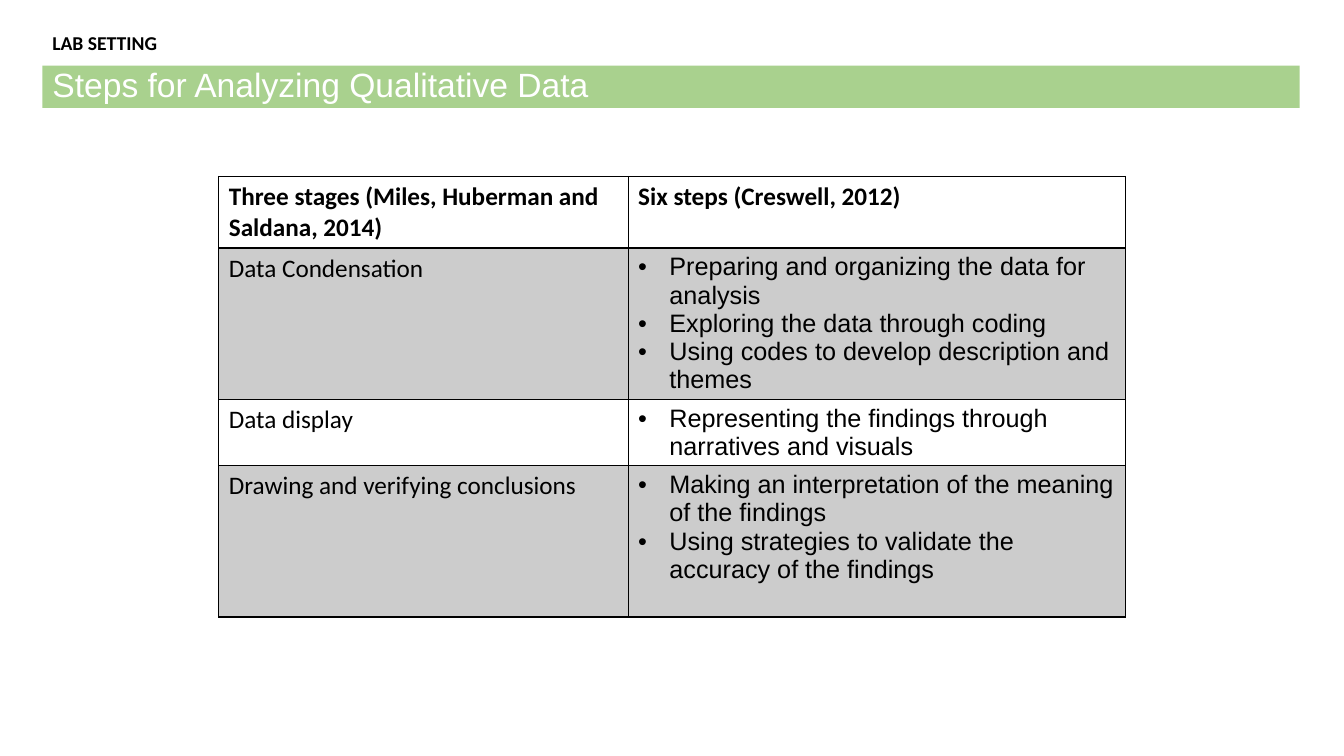
import pptx
import pptx.dml.color
import pptx.enum.text
import pptx.oxml
import pptx.oxml.ns
import pptx.util
from pptx.util import Inches

BLACK, WHITE, GREEN, GREY = "000000", "FFFFFF", "A9D18E", "CCCCCC"
HEADERS = ["Three stages (Miles, Huberman and Saldana, 2014)", "Six steps (Creswell, 2012)"]
STAGES = [
    ("Data Condensation", [
        "Preparing and organizing the data for analysis",
        "Exploring the data through coding",
        "Using codes to develop description and themes"]),
    ("Data display", [
        "Representing the findings through narratives and visuals"]),
    ("Drawing and verifying conclusions", [
        "Making an interpretation of the meaning of the findings",
        "Using strategies to validate the accuracy of the findings"]),
]
COLUMN_WIDTHS = [4.06, 4.93]
ROW_HEIGHTS = [0.71, 1.5, 0.65, 1.5]


def rgb(value):
    return pptx.dml.color.RGBColor.from_string(value)


def set_attributes(target, values):
    for name, value in values.items():
        setattr(target, name, value)


def write(p, text, size, font, color=BLACK, bold=False):
    r = p.add_run()
    r.text = text
    set_attributes(r.font, {"size": pptx.util.Pt(size), "name": font, "bold": bold})
    r.font.color.rgb = rgb(color)


def add_bullet(p):
    pPr = p._p.get_or_add_pPr()
    pPr.set("marL", str(Inches(0.31)))
    pPr.set("indent", str(-Inches(0.31)))
    ns = pptx.oxml.ns.nsdecls("a")
    pPr.append(pptx.oxml.parse_xml(f'<a:buFont {ns} typeface="Arial"/>'))
    pPr.append(pptx.oxml.parse_xml(f'<a:buChar {ns} char="•"/>'))


def style_cell(cell, fill, bottom=1):
    """Draw the cell's borders, then its fill (None for no fill)."""
    tcPr = cell._tc.get_or_add_tcPr()
    for side, width in (("L", 1), ("R", 1), ("T", 1), ("B", bottom)):
        tcPr.append(pptx.oxml.parse_xml(
            f'<a:ln{side} {pptx.oxml.ns.nsdecls("a")} w="{pptx.util.Pt(width)}">'
            f'<a:solidFill><a:srgbClr val="{BLACK}"/></a:solidFill></a:ln{side}>'))
    if fill:
        cell.fill.solid()
        cell.fill.fore_color.rgb = rgb(fill)
    else:
        cell.fill.background()


def place_heading(sp, box, text, size, font, color, bold=False):
    set_attributes(sp, dict(zip(("left", "top", "width", "height"), map(Inches, box))))
    tf = sp.text_frame
    set_attributes(tf, {"word_wrap": True,
                        "auto_size": pptx.enum.text.MSO_AUTO_SIZE.NONE,
                        "vertical_anchor": pptx.enum.text.MSO_ANCHOR.MIDDLE})
    p = tf.paragraphs[0]
    set_attributes(p, {"alignment": pptx.enum.text.PP_ALIGN.LEFT,
                       "line_spacing": 0.9, "space_before": pptx.util.Pt(10)})
    write(p, text, size, font, color, bold)


def add_title_bar(s, box):
    sp = s.shapes.title
    sp.fill.solid()
    sp.fill.fore_color.rgb = rgb(GREEN)
    place_heading(sp, box, "Steps for Analyzing Qualitative Data", 24, "Arial", WHITE)


def add_section_label(s, box):
    sp = s.shapes.add_textbox(*map(Inches, box))
    place_heading(sp, box, "LAB SETTING", 14, "Calibri", BLACK, True)


def add_steps_table(s, left, top):
    size = (sum(COLUMN_WIDTHS), sum(ROW_HEIGHTS))
    table = s.shapes.add_table(len(ROW_HEIGHTS), len(COLUMN_WIDTHS),
                               *map(Inches, (left, top, *size))).table
    set_attributes(table, {"first_row": False, "horz_banding": False})
    for column, width in zip(table.columns, COLUMN_WIDTHS):
        column.width = Inches(width)
    for row, height in zip(table.rows, ROW_HEIGHTS):
        row.height = Inches(height)

    for col, header in enumerate(HEADERS):
        cell = table.cell(0, col)
        style_cell(cell, None, bottom=2)
        write(cell.text_frame.paragraphs[0], header, 18, "Calibri", bold=True)

    for row, (stage, steps) in enumerate(STAGES, start=1):
        stage_cell, steps_cell = table.cell(row, 0), table.cell(row, 1)
        for cell in (stage_cell, steps_cell):
            style_cell(cell, GREY if row % 2 else None)
        write(stage_cell.text_frame.paragraphs[0], stage, 18, "Calibri")
        tf = steps_cell.text_frame
        for i, step in enumerate(steps):
            p = tf.add_paragraph() if i else tf.paragraphs[0]
            add_bullet(p)
            write(p, step, 18, "Arial")


def main():
    prs = pptx.Presentation()
    set_attributes(prs, {"slide_width": Inches(13.33), "slide_height": Inches(7.5)})
    s = prs.slides.add_slide(prs.slide_layouts[5])
    add_steps_table(s, 2.17, 1.75)
    add_title_bar(s, (0.42, 0.65, 12.47, 0.42))
    add_section_label(s, (0.42, 0.31, 12.75, 0.25))
    prs.save("out.pptx")


if __name__ == "__main__":
    main()
